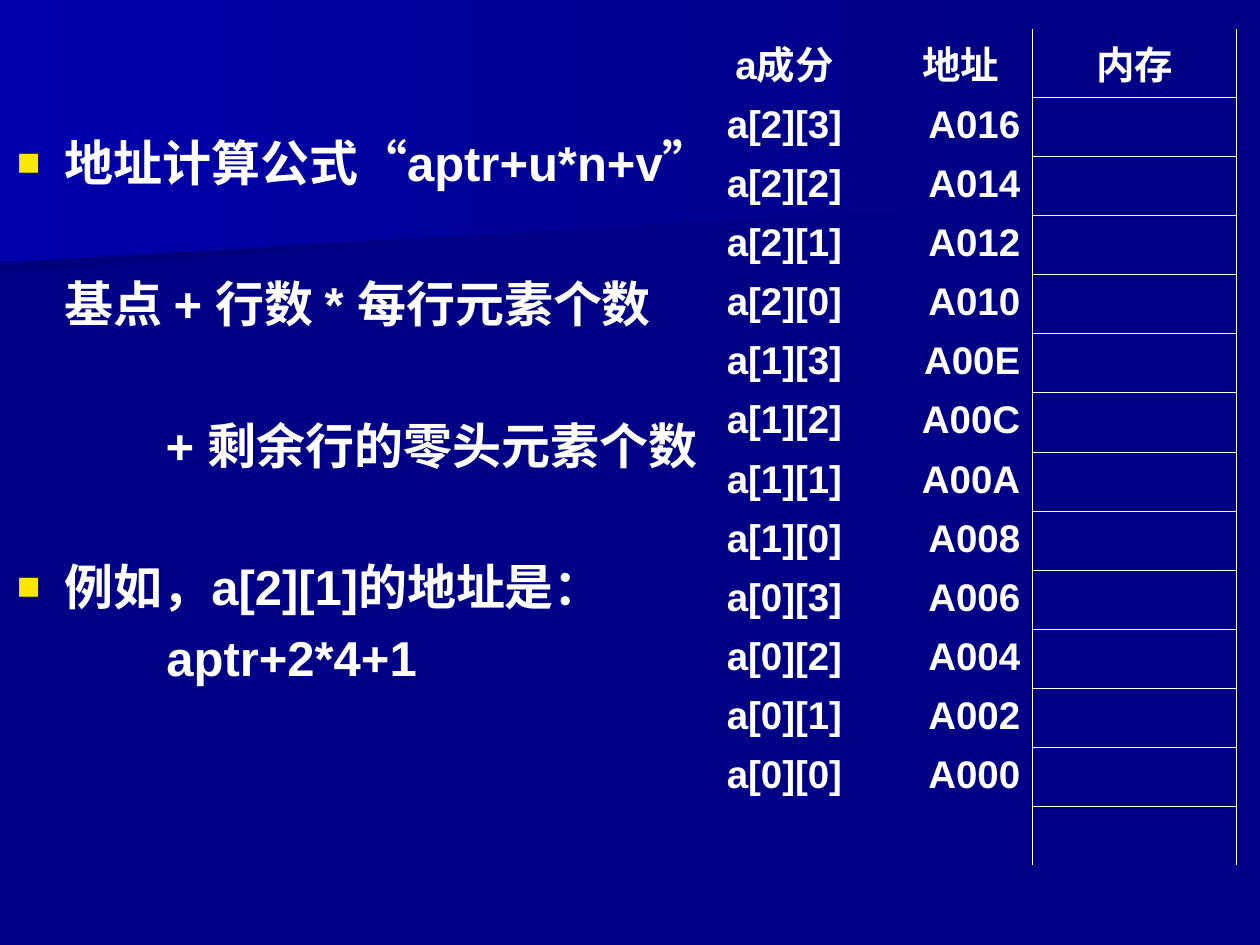
import pptx
import pptx.util
import pptx.dml.color
import pptx.enum.text
import pptx.oxml
import pptx.oxml.ns
import lxml.etree

Pt = pptx.util.Pt
ALIGN = pptx.enum.text.PP_ALIGN
COLORS = {"navy": "000086", "dark": "00007D", "bright": "0000AC",
          "white": "FFFFFF", "bullet": "FFE701"}


def rgb(name):
    return pptx.dml.color.RGBColor.from_string(COLORS[name])


def write(para, text, size=28, align=ALIGN.LEFT, spacing=1.2, before=0, indent=0, hanging=0, bullet=None):
    para.alignment = align
    para.line_spacing = spacing
    para.space_before = Pt(before)
    properties = para._p.get_or_add_pPr()
    properties.set("marL", str(Pt(indent)))
    properties.set("indent", str(-Pt(hanging)))
    if bullet:
        color = lxml.etree.SubElement(properties, pptx.oxml.ns.qn("a:buClr"))
        lxml.etree.SubElement(color, pptx.oxml.ns.qn("a:srgbClr"), val=COLORS["bullet"])
        lxml.etree.SubElement(properties, pptx.oxml.ns.qn("a:buSzPct"), val="80000")
        lxml.etree.SubElement(properties, pptx.oxml.ns.qn("a:buChar"), char=bullet)
    else:
        lxml.etree.SubElement(properties, pptx.oxml.ns.qn("a:buNone"))
    span = para.add_run()
    span.text = text
    span.font.name = "Arial"
    span.font.size = Pt(size)
    span.font.bold = True
    span.font.color.rgb = rgb("white")


deck = pptx.Presentation()
deck.slide_width, deck.slide_height = Pt(720), Pt(540)
page = deck.slides.add_slide(deck.slide_layouts[1])
page.background.fill.solid()
page.background.fill.fore_color.rgb = rgb("navy")
title, body = page.placeholders
title._element.getparent().remove(title._element)

bands = [
    ([(0, 72.7), (560.9, 72.7), (560.2, 110.2), (0, 156.2)], "dark"),
    ([(0, 0), (570.2, 0), (570.2, 116.6), (0, 149.8)], "bright"),
]
for points, end_color in bands:
    builder = page.shapes.build_freeform(Pt(points[0][0]), Pt(points[0][1]))
    builder.add_line_segments([(Pt(x), Pt(y)) for x, y in points[1:]], close=True)
    band = builder.convert_to_shape()
    band.shadow.inherit = False
    band.line.fill.background()
    band.fill.gradient()
    band.fill.gradient_angle = 180
    for stop, color_name in zip(band.fill.gradient_stops, ("navy", end_color)):
        stop.color.rgb = rgb(color_name)

rows = [("a成分", "地址", "内存")]
for address in range(22, -1, -2):
    row, column = divmod(address // 2, 4)
    rows.append((f"a[{row}][{column}]", f"A{address:03X}", ""))
rows.append(("", "", ""))
last = len(rows) - 1
row_height = 33.78
frame = page.shapes.add_table(len(rows), 3, Pt(388.4), Pt(16.6), Pt(318.2), Pt(row_height * len(rows)))
memory = frame.table
memory.first_row = False
memory.horz_banding = False
for column, width in zip(memory.columns, (119.7, 82.1, 116.4)):
    column.width = Pt(width)
for row_index, texts in enumerate(rows):
    memory.rows[row_index].height = Pt(row_height)
    for column_index, text in enumerate(texts):
        cell = memory.cell(row_index, column_index)
        if text:
            address_cell = column_index == 1 and row_index > 0
            write(cell.text_frame.paragraphs[0], text, size=22, spacing=1.0,
                  align=ALIGN.RIGHT if address_cell else ALIGN.CENTER)
        in_memory = column_index == 2
        sides = {"L": in_memory, "R": column_index > 0,
                 "T": in_memory and row_index > 0, "B": in_memory and row_index < last}
        cell_properties = cell._tc.get_or_add_tcPr()
        for side, drawn in sides.items():
            border = lxml.etree.SubElement(cell_properties, pptx.oxml.ns.qn("a:ln" + side), w=str(Pt(0.45)))
            if drawn:
                paint = lxml.etree.SubElement(border, pptx.oxml.ns.qn("a:solidFill"))
                lxml.etree.SubElement(paint, pptx.oxml.ns.qn("a:srgbClr"), val=COLORS["white"])
            else:
                lxml.etree.SubElement(border, pptx.oxml.ns.qn("a:noFill"))
        cell.fill.background()

body._element.getparent().append(body._element)
body.left, body.top, body.width, body.height = Pt(2.5), Pt(65.5), Pt(427.7), Pt(351.4)
text_frame = body.text_frame
text_frame.word_wrap = True
text_frame.auto_size = pptx.enum.text.MSO_AUTO_SIZE.NONE
text_frame.vertical_anchor = pptx.enum.text.MSO_ANCHOR.TOP
text_frame.margin_top = Pt(3.6)
bulleted = {"indent": 27.2, "hanging": 27.2, "bullet": "■"}
lines = [
    ("地址计算公式“aptr+u*n+v”", bulleted),
    ("基点 + 行数 * 每行元素个数", {"indent": 27.2, "before": 40.4}),
    ("+ 剩余行的零头元素个数", {"indent": 85, "before": 40.4}),
    ("例如，a[2][1]的地址是：", {**bulleted, "before": 40.4}),
    ("aptr+2*4+1", {"indent": 85.4}),
]
for index, (text, style) in enumerate(lines):
    para = text_frame.add_paragraph() if index else text_frame.paragraphs[0]
    write(para, text, **style)

deck.save("out.pptx")
